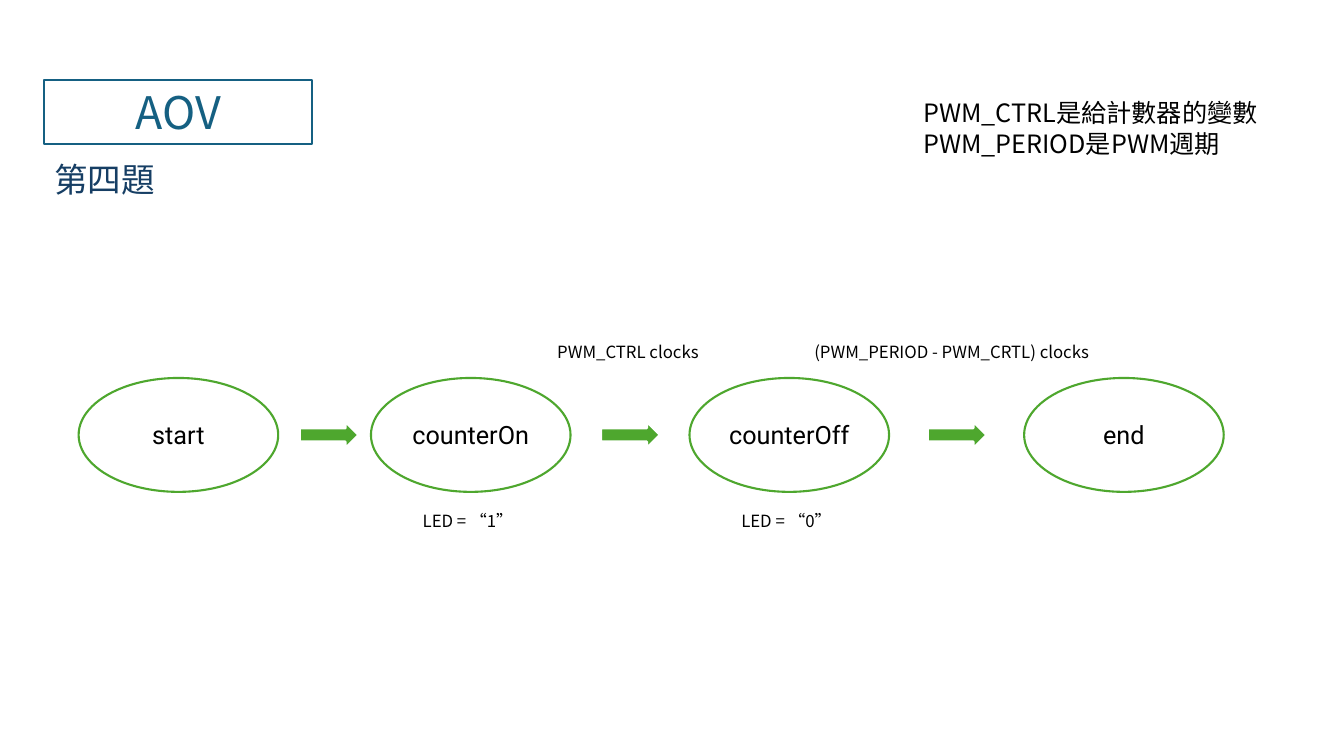
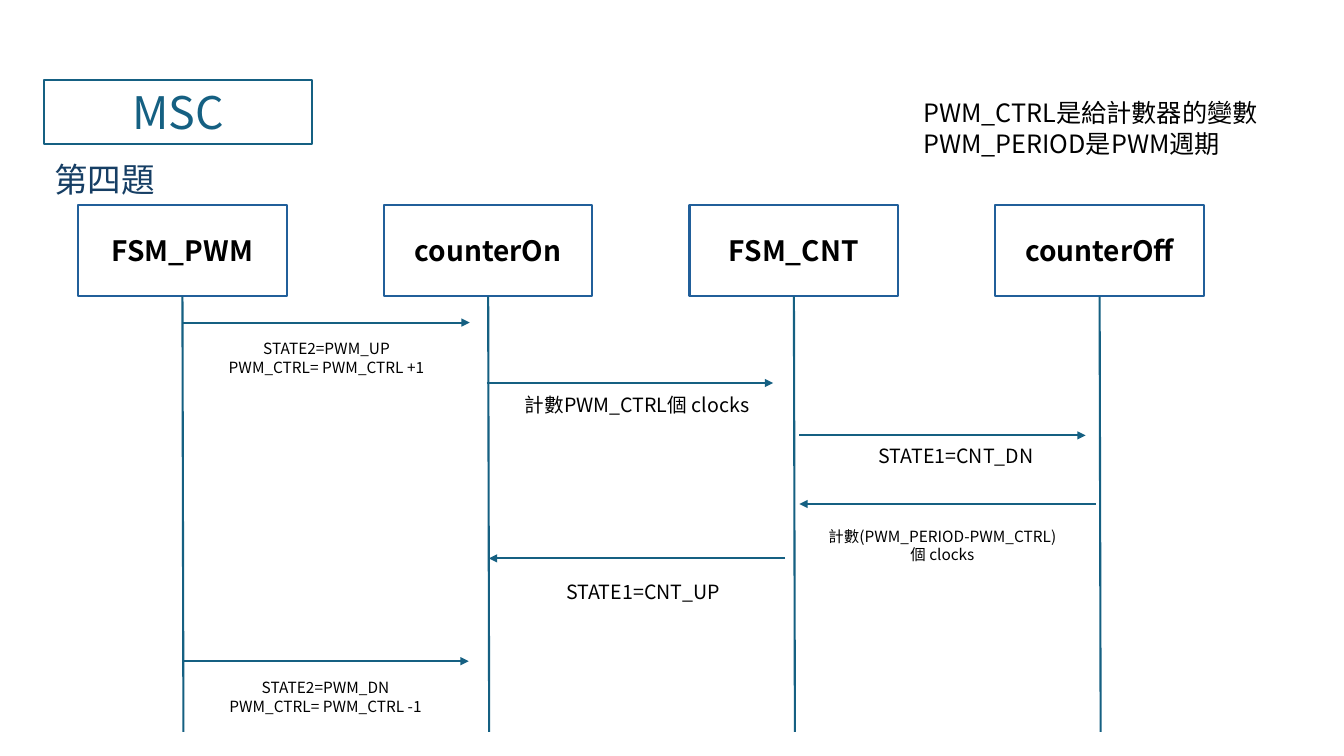
import lxml.etree
import pptx
import pptx.dml.color
import pptx.enum.shapes
import pptx.enum.text
import pptx.oxml.ns
import pptx.util

COLORS = {
    "teal": "156082",
    "navy": "163E64",
    "blue": "215F9A",
    "green": "4EA72E",
    "black": "000000",
    "white": "FFFFFF",
}
FONT = "Noto Sans CJK SC"
STATE_FONT = "Roboto"
COLUMNS, ROWS = 133.33, 75
LINE_WIDTH = 1.5

SHAPES = pptx.enum.shapes.MSO_SHAPE
ALIGN = pptx.enum.text.PP_ALIGN
ANCHOR = pptx.enum.text.MSO_ANCHOR
STRAIGHT = pptx.enum.shapes.MSO_CONNECTOR.STRAIGHT

STATE_TOP, STATE_WIDTH, STATE_HEIGHT = 37.5, 19.8, 11.3
ARROW_WIDTH, ARROW_HEIGHT = 5.9, 2.7
STATES = [
    ("start", 7.8, None),
    ("counterOn", 36.8, "LED = “1”"),
    ("counterOff", 68.4, "LED = “0”"),
    ("end", 101.6, None),
]
ARROW_LEFTS = [29.7, 59.6, 92]
TRANSITIONS = [
    ("PWM_CTRL clocks", 54.3, 16.4),
    ("(PWM_PERIOD - PWM_CRTL) clocks", 79.8, 30.3),
]

LANES = ["FSM_PWM", "counterOn", "FSM_CNT", "counterOff"]
LANE_LEFT, LANE_PITCH = 7.75, 30.33
LANE_TOP, LANE_WIDTH, LANE_HEIGHT = 20.3, 20.7, 9.1
LANE_END = 72.6
RIGHTWARD, LEFTWARD = 28.4, -29.4
MESSAGES = [
    (18.2, RIGHTWARD, 32, (21, 33.2, 22.8, 4.7), 11,
     ["STATE2=PWM_UP", "PWM_CTRL= PWM_CTRL +1"]),
    (48.3, RIGHTWARD, 38, (50.4, 38.5, 25.6, 5.7), 14,
     ["計數PWM_CTRL個 clocks"]),
    (79.3, RIGHTWARD, 43.2, (84.7, 43.6, 20.3, 3.4), 14,
     ["STATE1=CNT_DN"]),
    (108.7, LEFTWARD, 50, (80.7, 51.8, 25.6, 7.1), 11,
     ["計數(PWM_PERIOD-PWM_CTRL)個 clocks"]),
    (77.9, LEFTWARD, 55.4, (53.9, 57, 19.8, 3.4), 14,
     ["STATE1=CNT_UP"]),
    (18.1, RIGHTWARD, 65.6, (20.9, 66.8, 22.8, 4.7), 11,
     ["STATE2=PWM_DN", "PWM_CTRL= PWM_CTRL -1"]),
]


def span(units):
    return pptx.util.Inches(units / 10)


def color(name):
    return pptx.dml.color.RGBColor.from_string(COLORS[name])


def write(box, lines, size, ink="black", font=FONT, align=None, bold=None):
    box.text_frame.text = "\n".join(lines)
    for para in box.text_frame.paragraphs:
        para.alignment = align
        para.font.size = pptx.util.Pt(size)
        para.font.bold = bold
        para.font.color.rgb = color(ink)
        para.font.name = font
        defaults = para._p.pPr.find(pptx.oxml.ns.qn("a:defRPr"))
        east_asian = lxml.etree.SubElement(defaults, pptx.oxml.ns.qn("a:ea"))
        east_asian.set("typeface", font)


def add_label(page, place, lines, size, ink="black", align=None, wrap=True):
    box = page.shapes.add_textbox(*map(span, place))
    box.text_frame.word_wrap = wrap
    box.text_frame.auto_size = pptx.enum.text.MSO_AUTO_SIZE.SHAPE_TO_FIT_TEXT
    write(box, lines, size, ink, align=align)


def add_figure(page, kind, place, line, fill=None, width=LINE_WIDTH):
    figure = page.shapes.add_shape(kind, *map(span, place))
    figure.shadow.inherit = False
    if fill:
        figure.fill.solid()
        figure.fill.fore_color.rgb = color(fill)
    else:
        figure.fill.background()
    figure.line.color.rgb = color(line)
    figure.line.width = pptx.util.Pt(width)
    return figure


def add_line(page, start, end, arrow=False):
    line = page.shapes.add_connector(STRAIGHT, *map(span, start + end))
    line.line.color.rgb = color("teal")
    line.line.width = pptx.util.Pt(LINE_WIDTH)
    properties = line._element.spPr
    lxml.etree.SubElement(properties, pptx.oxml.ns.qn("a:effectLst"))
    if arrow:
        outline = properties.find(pptx.oxml.ns.qn("a:ln"))
        head = lxml.etree.SubElement(outline, pptx.oxml.ns.qn("a:tailEnd"))
        head.set("type", "triangle")
    return line


def add_page(deck, title):
    page = deck.slides.add_slide(deck.slide_layouts[6])
    frame = add_figure(page, SHAPES.RECTANGLE, (4.4, 7.9, 26.6, 6.4), "teal", "white")
    frame.text_frame.vertical_anchor = ANCHOR.TOP
    write(frame, [title], 32, "teal", align=ALIGN.CENTER)
    add_label(page, (4.4, 15.3, 12.1, 5), ["第四題"], 24, "navy", wrap=False)
    add_label(page, (90.6, 9.2, 35.6, 7.1),
              ["PWM_CTRL是給計數器的變數", "PWM_PERIOD是PWM週期"], 18)
    return page


def add_state(page, name, left, output):
    place = (left, STATE_TOP, STATE_WIDTH, STATE_HEIGHT)
    state = add_figure(page, SHAPES.OVAL, place, "green", "white")
    write(state, [name], 18, font=STATE_FONT, align=ALIGN.CENTER)
    if output:
        width = 11.5
        middle = left + STATE_WIDTH / 2
        add_label(page, (middle - width / 2, 50.2, width, 3), [output], 12, wrap=False)


def add_lane(page, index, name):
    left = LANE_LEFT + index * LANE_PITCH
    place = (left, LANE_TOP, LANE_WIDTH, LANE_HEIGHT)
    header = add_figure(page, SHAPES.RECTANGLE, place, "blue")
    write(header, [name], 20, align=ALIGN.CENTER, bold=True)
    middle = left + LANE_WIDTH / 2
    lifeline = add_line(page, (middle, LANE_TOP + LANE_HEIGHT), (middle + 0.1, LANE_END))
    lifeline.begin_connect(header, 2)


def build_states(deck):
    page = add_page(deck, "AOV")
    for state in STATES:
        add_state(page, *state)
    arrow_top = STATE_TOP + (STATE_HEIGHT - ARROW_HEIGHT) / 2
    for left in ARROW_LEFTS:
        add_figure(page, SHAPES.RIGHT_ARROW,
                   (left, arrow_top, ARROW_WIDTH, ARROW_HEIGHT), "white", "green", 2)
    for text, left, width in TRANSITIONS:
        add_label(page, (left, 33.4, width, 3), [text], 12, wrap=False)


def build_sequence(deck):
    page = add_page(deck, "MSC")
    for index, name in enumerate(LANES):
        add_lane(page, index, name)
    for start, length, row, place, size, lines in MESSAGES:
        add_line(page, (start, row), (start + length, row), arrow=True)
        add_label(page, place, lines, size, align=ALIGN.CENTER)


def main():
    deck = pptx.Presentation()
    deck.slide_width = span(COLUMNS)
    deck.slide_height = span(ROWS)
    build_states(deck)
    build_sequence(deck)
    deck.save("out.pptx")


if __name__ == "__main__":
    main()
